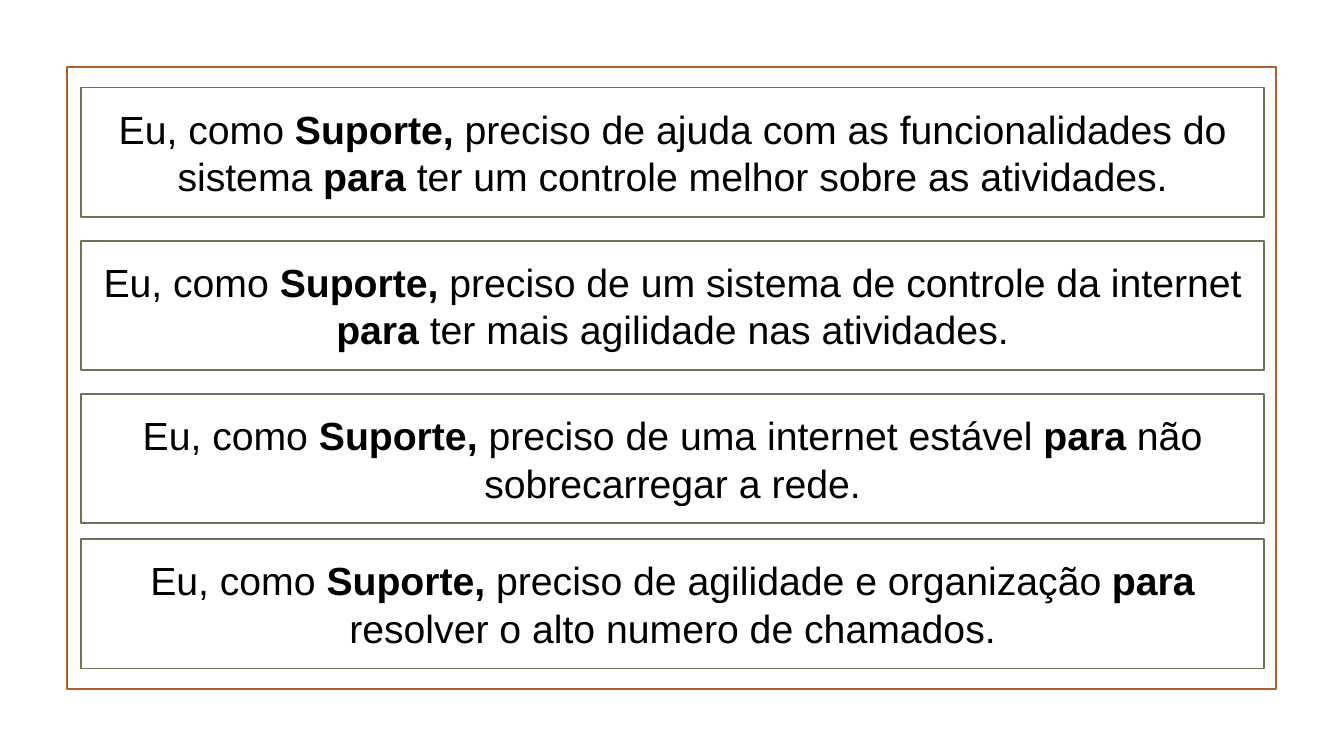
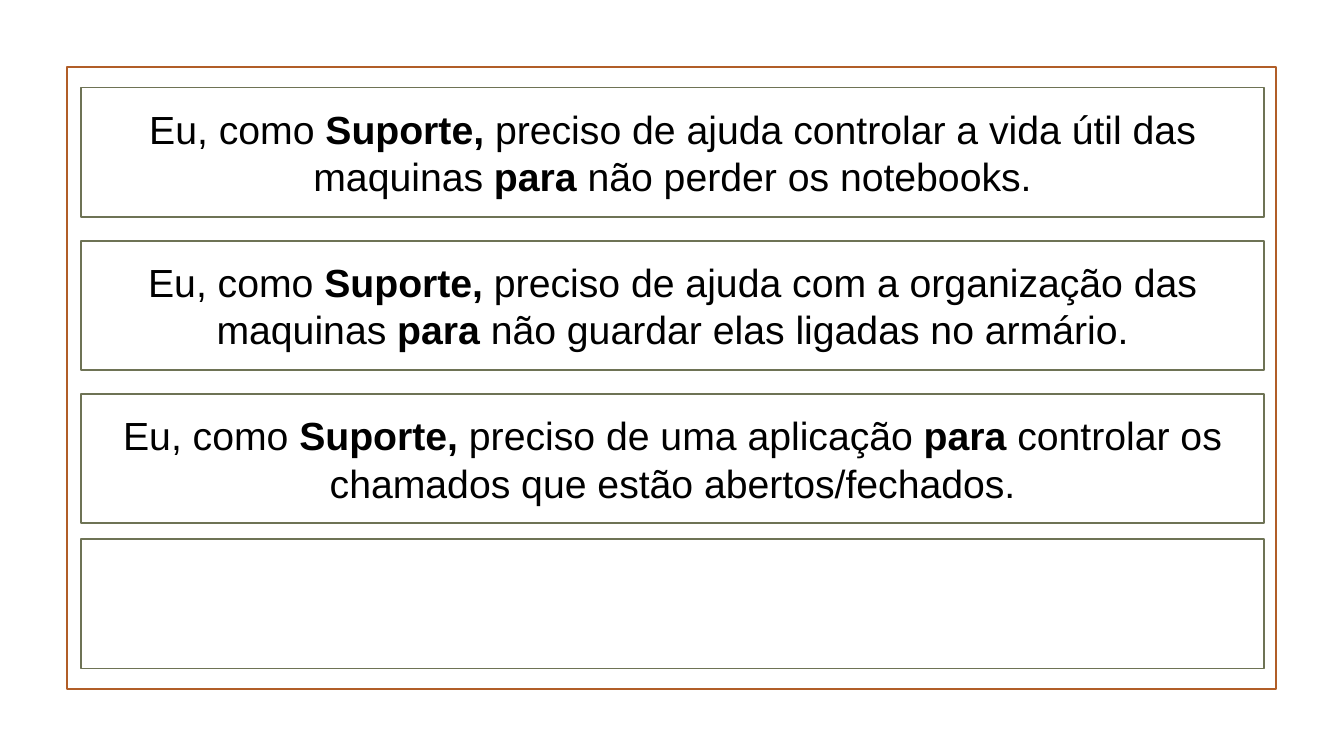
from dataclasses import dataclass

from pptx import Presentation
from pptx.dml.color import RGBColor
from pptx.enum.shapes import MSO_SHAPE
from pptx.enum.text import MSO_ANCHOR, PP_ALIGN
from pptx.util import Pt

RECTANGLE = MSO_SHAPE.RECTANGLE
MIDDLE = MSO_ANCHOR.MIDDLE
CENTER = PP_ALIGN.CENTER


@dataclass(frozen=True)
class Theme:
    paper: RGBColor = RGBColor(0xFF, 0xFF, 0xFF)
    ink: RGBColor = RGBColor(0x00, 0x00, 0x00)
    frame: RGBColor = RGBColor(0xB1, 0x5E, 0x28)
    card: RGBColor = RGBColor(0x6E, 0x73, 0x55)
    font: str = "Arial"
    text_size: float = 28
    line_width: float = 1.25


THEME = Theme()

PAGE_WIDTH, PAGE_HEIGHT = 960, 540
FRAME = (47.7, 48.1, 864, 444.2)
CARD_LEFT, CARD_WIDTH, CARD_HEIGHT = 57.7, 845.3, 92.3
FIRST_TOP, CARD_STEP = 62.6, 109.5
LAST_TOP = 385.2  # the last card sits closer to the one above it
CARD_TOPS = [FIRST_TOP + CARD_STEP * row for row in range(3)] + [LAST_TOP]

# Each story is a need and a purpose, joined by "para".
STORIES = [
    [
        ("ajuda com as funcionalidades do sistema",
         "ter um controle melhor sobre as atividades."),
        ("um sistema de controle da internet",
         "ter mais agilidade nas atividades."),
        ("uma internet estável", "não sobrecarregar a rede."),
        ("agilidade e organização", "resolver o alto numero de chamados."),
    ],
    [
        ("ajuda controlar a vida útil das maquinas",
         "não perder os notebooks."),
        ("ajuda com a organização das maquinas",
         "não guardar elas ligadas no armário."),
        ("uma aplicação",
         "controlar os chamados que estão abertos/fechados."),
        None,
    ],
]


def add_box(page, left, top, width, height, line_color):
    box = page.shapes.add_shape(
        RECTANGLE, Pt(left), Pt(top), Pt(width), Pt(height))
    box.shadow.inherit = False
    box.fill.solid()
    box.fill.fore_color.rgb = THEME.paper
    box.line.color.rgb = line_color
    box.line.width = Pt(THEME.line_width)
    return box


def write_story(box, need, purpose):
    frame = box.text_frame
    frame.word_wrap = True
    frame.vertical_anchor = MIDDLE
    para = frame.paragraphs[0]
    para.alignment = CENTER
    para.font.name = THEME.font
    para.font.size = Pt(THEME.text_size)
    para.font.color.rgb = THEME.ink
    for text, bold in (
        ("Eu, como ", False),
        ("Suporte,", True),
        (f" preciso de {need} ", False),
        ("para", True),
        (f" {purpose}", False),
    ):
        span = para.add_run()
        span.text = text
        span.font.bold = bold


def add_story_page(deck, stories):
    page = deck.slides.add_slide(deck.slide_layouts[6])
    add_box(page, *FRAME, THEME.frame)
    for top, story in zip(CARD_TOPS, stories):
        card = add_box(page, CARD_LEFT, top, CARD_WIDTH, CARD_HEIGHT, THEME.card)
        if story:
            write_story(card, *story)


def main():
    deck = Presentation()
    deck.slide_width, deck.slide_height = Pt(PAGE_WIDTH), Pt(PAGE_HEIGHT)
    for stories in STORIES:
        add_story_page(deck, stories)
    deck.save("out.pptx")


if __name__ == "__main__":
    main()
